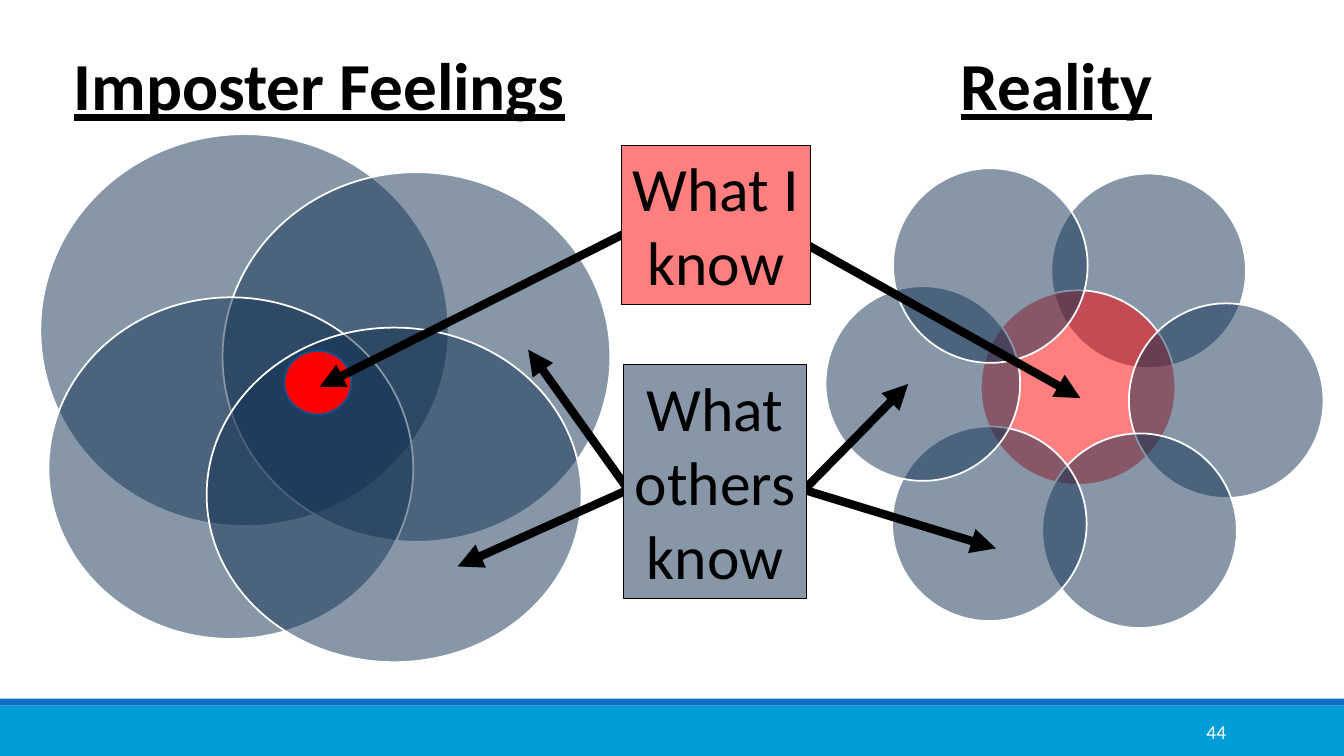
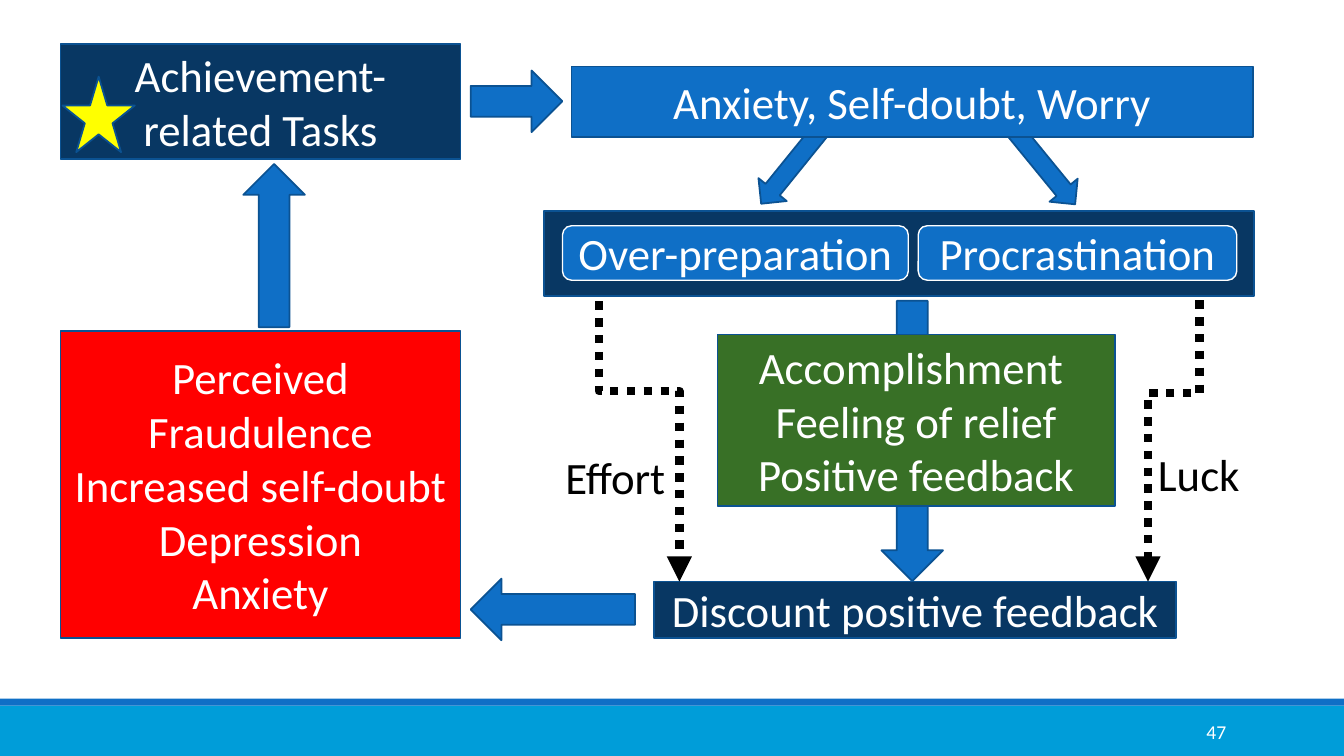
from dataclasses import dataclass

from lxml.etree import SubElement
from pptx import Presentation
from pptx.dml.color import RGBColor
from pptx.enum.dml import MSO_LINE
from pptx.enum.shapes import MSO_CONNECTOR, MSO_SHAPE
from pptx.enum.text import MSO_ANCHOR, MSO_AUTO_SIZE, PP_ALIGN
from pptx.oxml.ns import qn
from pptx.shapes.connector import Connector
from pptx.slide import Slide
from pptx.text.text import TextFrame
from pptx.util import Pt


@dataclass(frozen=True)
class Theme:
    font: str = "Calibri"
    black: str = "000000"
    white: str = "FFFFFF"
    red: str = "FF0000"
    pink: str = "FF7F7F"
    yellow: str = "FFFF00"
    green: str = "387026"
    navy: str = "083763"
    blue: str = "0F6FC6"
    cyan: str = "009DD9"
    edge: str = "0B5292"
    ink: str = "113052"
    slate: str = "8897A8"
    head: int = 48
    label: int = 44
    body: int = 32
    page: int = 14
    rim: float = 1.25
    stroke: int = 6


THEME = Theme()
WIDE, HIGH = 960, 540


@dataclass(frozen=True)
class Area:
    left: float
    top: float
    wide: float
    high: float

    def sides(self) -> tuple[Pt, Pt, Pt, Pt]:
        return Pt(self.left), Pt(self.top), Pt(self.wide), Pt(self.high)


@dataclass(frozen=True)
class Style:
    size: int = THEME.body
    color: str = THEME.white
    align: PP_ALIGN = PP_ALIGN.CENTER
    anchor: MSO_ANCHOR = MSO_ANCHOR.MIDDLE
    wrap: bool = True
    strong: bool = False


@dataclass(frozen=True)
class Box:
    area: Area
    fill: str
    lines: tuple[str, ...] = ()
    kind: MSO_SHAPE = MSO_SHAPE.RECTANGLE
    edge: str | None = THEME.edge
    rim: float = THEME.rim
    turn: float = 0
    alpha: int = 100
    style: Style = Style()


@dataclass(frozen=True)
class Link:
    x1: float
    y1: float
    x2: float
    y2: float


HEAD = Style(THEME.head, THEME.black, PP_ALIGN.LEFT, MSO_ANCHOR.TOP, False, True)
LABEL = Style(THEME.label, THEME.black, PP_ALIGN.CENTER, MSO_ANCHOR.TOP, False)
NOTE = Style(THEME.body, THEME.black, PP_ALIGN.LEFT, MSO_ANCHOR.TOP, False)
PAGE = Style(THEME.page, THEME.white, PP_ALIGN.RIGHT)


# Text and shapes
def write(frame: TextFrame, lines: tuple[str, ...], style: Style) -> None:
    frame.text = "\n".join(lines)
    frame.auto_size = MSO_AUTO_SIZE.NONE
    frame.word_wrap = style.wrap
    frame.vertical_anchor = style.anchor
    for para in frame.paragraphs:
        para.alignment = style.align
        font = para.font
        font.name, font.size = THEME.font, Pt(style.size)
        font.color.rgb = RGBColor.from_string(style.color)
        font.bold = font.underline = style.strong


def add_text(slide: Slide, area: Area, text: str, style: Style) -> None:
    write(slide.shapes.add_textbox(*area.sides()).text_frame, (text,), style)


def add_box(slide: Slide, box: Box) -> None:
    shape = slide.shapes.add_shape(box.kind, *box.area.sides())
    shape.shadow.inherit = False
    shape.rotation = box.turn
    shape.fill.solid()
    shape.fill.fore_color.rgb = RGBColor.from_string(box.fill)
    if box.alpha < 100:
        paint = shape.element.spPr.find(qn("a:solidFill"))[0]
        SubElement(paint, qn("a:alpha"), val=str(box.alpha * 1000))
    if box.edge:
        shape.line.color.rgb = RGBColor.from_string(box.edge)
        shape.line.width = Pt(box.rim)
    else:
        shape.line.fill.background()
    if box.lines:
        write(shape.text_frame, box.lines, box.style)


def add_disc(slide: Slide, area: Area, fill: str) -> None:
    add_box(slide, Box(area, fill, kind=MSO_SHAPE.OVAL, edge=THEME.white, alpha=50))


# Lines with arrowheads
def add_link(slide: Slide, link: Link, kind: MSO_CONNECTOR = MSO_CONNECTOR.STRAIGHT,
             dash: MSO_LINE | None = None) -> Connector:
    line = slide.shapes.add_connector(
        kind, Pt(link.x1), Pt(link.y1), Pt(link.x2), Pt(link.y2))
    line.line.color.rgb = RGBColor.from_string(THEME.black)
    line.line.width = Pt(THEME.stroke)
    line.line.dash_style = dash
    props = line._element.spPr
    SubElement(props.find(qn("a:ln")), qn("a:tailEnd"), type="triangle")
    SubElement(props, qn("a:effectLst"))
    return line


def add_elbow(slide: Slide, link: Link, bend: float) -> None:
    """Draw an elbow that leaves downwards: a sideways one, turned."""
    mid_x, mid_y = (link.x1 + link.x2) / 2, (link.y1 + link.y2) / 2
    right = link.x2 > link.x1
    reach = (link.y2 - link.y1) / 2 * (-1 if right else 1)
    half = abs(link.x2 - link.x1) / 2
    flat = Link(mid_x - reach, mid_y - half, mid_x + reach, mid_y + half)
    line = add_link(slide, flat, MSO_CONNECTOR.ELBOW, MSO_LINE.ROUND_DOT)
    props = line._element.spPr
    props.find(qn("a:xfrm")).set("rot", str((270 if right else 90) * 60000))
    guides = props.find(qn("a:prstGeom")).find(qn("a:avLst"))
    SubElement(guides, qn("a:gd"), name="adj1", fmla=f"val {round(bend * 100000)}")


# Bands and page number
def add_base(slide: Slide, page: int) -> None:
    add_box(slide, Box(Area(0, 504, WIDE, 36), THEME.cyan, edge=None))
    add_box(slide, Box(Area(0, 499, WIDE, 5), THEME.blue, edge=None))
    add_text(slide, Area(780, 508.5, 103, 28.8), str(page), PAGE)


# Circles of knowledge
def draw_rings(slide: Slide) -> None:
    add_base(slide, 44)
    title = slide.shapes.title
    title.left, title.top, title.width, title.height = Area(45.4, 27.4, 368.6, 65.5).sides()
    write(title.text_frame, ("Imposter Feelings",), HEAD)
    add_text(slide, Area(679, 27.4, 152.6, 65.5), "Reality", HEAD)

    petals = (
        (751, 124, THEME.ink), (700.6, 207.4, THEME.red), (806.4, 216.7, THEME.ink),
        (744.5, 309.6, THEME.ink), (637.2, 304.6, THEME.ink),
        (589.7, 204.5, THEME.ink), (637.9, 120.2, THEME.ink),
    )
    for left, top, fill in petals:
        add_disc(slide, Area(left, top, 139, 139), fill)
    for area in (Area(28.8, 95.8, 291.6, 280), Area(159, 123, 277, 264),
                 Area(34.6, 212.4, 260.6, 244), Area(147.6, 234, 267.8, 239)):
        add_disc(slide, area, THEME.ink)
    add_box(slide, Box(Area(203, 250.6, 48, 45.4), THEME.red, kind=MSO_SHAPE.OVAL))

    for link in (Link(458.6, 160.6, 228.2, 276.5), Link(565.2, 168.5, 771.8, 284.4),
                 Link(455, 358.6, 377.3, 249.8), Link(455, 347, 326.9, 404.6),
                 Link(561.6, 362.9, 648.7, 274.3), Link(555, 344, 711.4, 391.7)):
        add_link(slide, link)
    for area, fill, lines in (
        (Area(445.7, 260.6, 130.3, 167), THEME.slate, ("What", "others", "know")),
        (Area(444.2, 103.7, 134.6, 113.8), THEME.pink, ("What I", "know")),
    ):
        add_box(slide, Box(area, fill, lines, edge=THEME.black, rim=0.75, style=LABEL))


# Cycle of doubt
def draw_cycle(slide: Slide) -> None:
    add_base(slide, 47)

    def arrow(area: Area, turn: float = 0) -> Box:
        return Box(area, THEME.blue, kind=MSO_SHAPE.RIGHT_ARROW, turn=turn)

    def pill(left: float, wide: float, text: str) -> Box:
        return Box(Area(left, 161.3, wide, 38.9), THEME.blue, (text,),
                   MSO_SHAPE.ROUNDED_RECTANGLE, THEME.white, 1)

    boxes = (
        arrow(Area(551.5, 293, 200.2, 44), 90),
        Box(Area(388.8, 150.5, 506.9, 61.2), THEME.navy),
        Box(Area(43.2, 31.7, 285.8, 82), THEME.navy, ("Achievement-related Tasks",)),
        Box(Area(43.2, 236.2, 285.8, 219.6), THEME.red,
            ("Perceived Fraudulence", "Increased self-doubt", "Depression", "Anxiety")),
        Box(Area(467.3, 415.4, 373, 40.3), THEME.navy, ("Discount positive feedback",)),
        Box(Area(512.6, 239, 283.7, 122.4), THEME.green,
            ("Accomplishment ", "Feeling of relief", "Positive feedback")),
        pill(655.9, 227.5, "Procrastination"),
        pill(401.8, 247, "Over-preparation"),
        arrow(Area(336.2, 50.4, 65.5, 44)),
        arrow(Area(530.6, 105.1, 70.6, 26), 129),
        arrow(Area(709.2, 105.1, 72, 26), 50.7),
        Box(Area(408.2, 47.5, 486.7, 50.4), THEME.blue, ("Anxiety, Self-doubt, Worry",)),
        arrow(Area(336.2, 413.3, 117.4, 44), 180),
        arrow(Area(137.5, 153.4, 116.6, 44), 270),
        Box(Area(44.6, 54.7, 51.8, 54), THEME.yellow, kind=MSO_SHAPE.STAR_5_POINT),
    )
    for box in boxes:
        add_box(slide, box)

    add_elbow(slide, Link(427.7, 215.3, 485.3, 415.4), 0.32)
    add_text(slide, Area(396.7, 317.5, 87, 46), "Effort", NOTE)
    add_elbow(slide, Link(856.8, 214.6, 820, 415.4), 0.33)
    add_text(slide, Area(820, 315.4, 73.4, 41.8), "Luck", NOTE)


def main() -> None:
    deck = Presentation()
    deck.slide_width, deck.slide_height = Pt(WIDE), Pt(HIGH)
    titled, blank = deck.slide_layouts[5], deck.slide_layouts[6]
    draw_rings(deck.slides.add_slide(titled))
    draw_cycle(deck.slides.add_slide(blank))
    deck.save("out.pptx")


if __name__ == "__main__":
    main()
